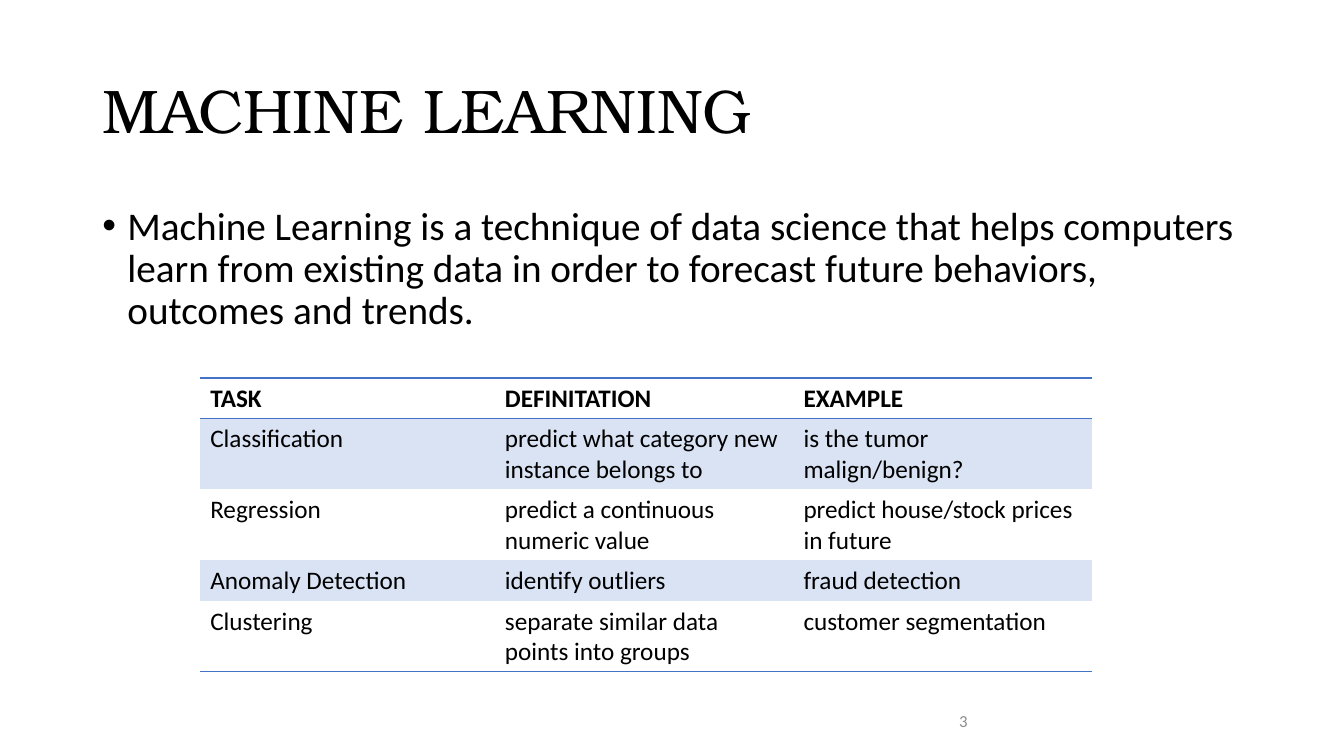
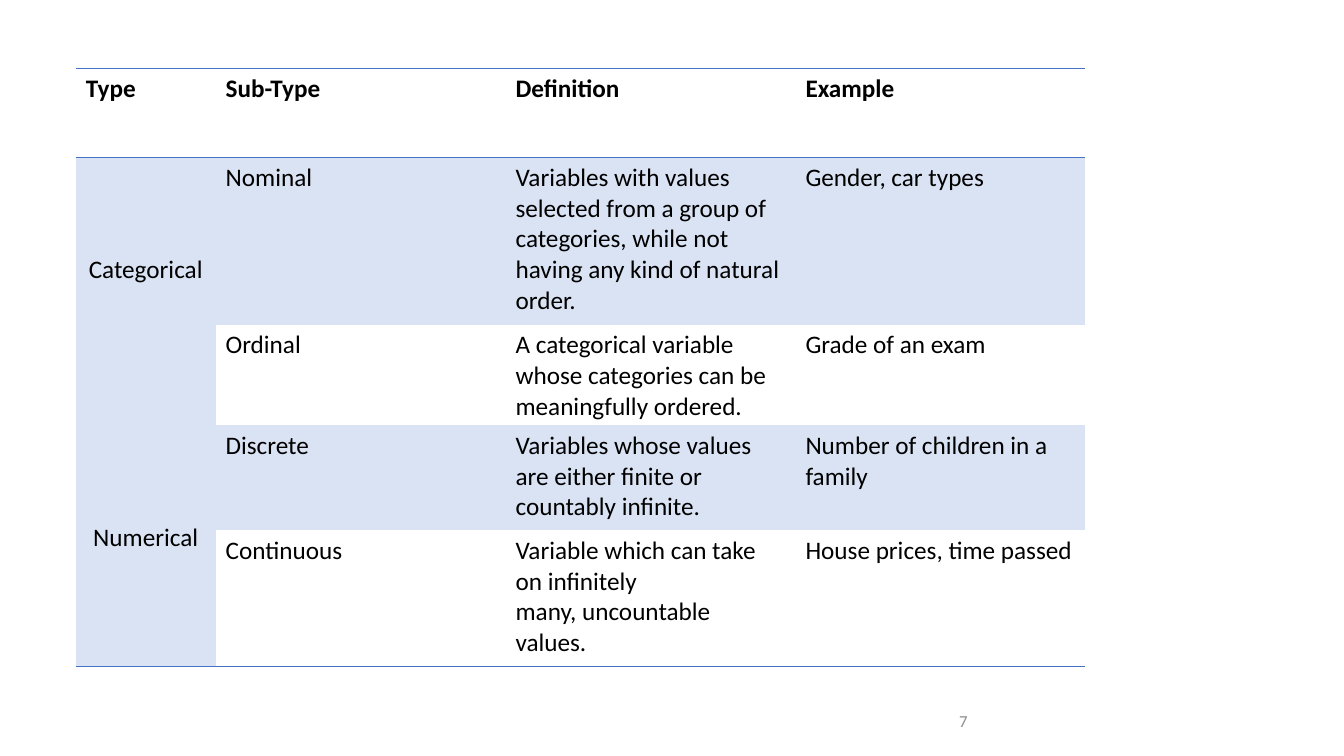
"""Build two slides about machine learning tasks and variable types."""
from dataclasses import dataclass
from typing import Any, Optional

from lxml import etree
from pptx import Presentation
from pptx import util as u
from pptx.dml import color
from pptx.enum import text
from pptx.oxml import ns
from pptx.slide import Slide

COLORS = {"ink": "000000", "rule": "4472C4", "band": "DAE3F3", "page": "8C8C8C"}
NO_STYLE = "{2D5ABB26-0587-4C30-8999-92F81FD0307C}"
FORMATS = {
    "title": {"size": u.Pt(44), "name": "TeX Gyre Bonum", "bold": False},
    "body": {"size": u.Pt(28), "name": "Calibri"},
    "header": {"size": u.Pt(18), "name": "Calibri", "bold": True},
    "cell": {"size": u.Pt(18), "name": "Calibri", "bold": False},
    "page": {"size": u.Pt(12), "name": "Calibri"},
}
GROUP_MARGIN = u.Pt(69.5)


@dataclass(frozen=True)
class Box:
    left: float
    top: float
    width: float
    height: float

    def lengths(self) -> list[int]:
        return [u.Pt(value) for value in (self.left, self.top, self.width, self.height)]


@dataclass(frozen=True)
class Grid:
    left: float
    top: float
    columns: list[float]
    heights: list[float]
    rows: list[list[Optional[str]]]


TITLE_BOX = Box(66, 28.75, 828, 104.38)
BODY_BOX = Box(66, 143.75, 828, 342.63)
PAGE_BOX = Box(678, 500.5, 216, 28.75)

TASKS = Grid(143, 270, [210.5, 213.3, 213.3], [29.2] * 5, [
    ["TASK", "DEFINITATION", "EXAMPLE"],
    ["Classification", "predict what category new instance belongs to", "is the tumor malign/benign?"],
    ["Regression", "predict a continuous numeric value", "predict house/stock prices in future"],
    ["Anomaly Detection", "identify outliers", "fraud detection"],
    ["Clustering", "separate similar data points into groups", "customer segmentation"],
])
VARIABLES = Grid(54.2, 48.8, [99.8] + [207.1] * 3, [63.5, 119.5, 67.5, 75, 97.3], [
    ["Type", "Sub-Type", "Definition", "Example"],
    ["Categorical", "Nominal",
     "Variables with values selected from a group of categories, "
     "while not having any kind of natural order.", "Gender, car types"],
    [None, "Ordinal", "A categorical variable whose categories can be meaningfully ordered.",
     "Grade of an exam"],
    ["Numerical", "Discrete", "Variables whose values are either finite or countably infinite.",
     "Number of children in a family"],
    [None, "Continuous", "Variable which can take on infinitely many,\u00a0uncountable values.",
     "House prices, time passed"],
])


def write(frame: Any, words: str, style: str, ink: str = "ink") -> Any:
    """Write one formatted paragraph and return it."""
    frame.word_wrap = True
    paragraph = frame.paragraphs[0]
    run = paragraph.add_run()
    run.text = words
    for name, value in FORMATS[style].items():
        setattr(run.font, name, value)
    run.font.color.rgb = color.RGBColor.from_string(COLORS[ink])
    return paragraph


def add_title(slide: Slide, words: str) -> None:
    """Place and format the title placeholder."""
    title = slide.shapes.title
    title.left, title.top, title.width, title.height = TITLE_BOX.lengths()
    frame = title.text_frame
    frame.auto_size = text.MSO_AUTO_SIZE.NONE
    frame.vertical_anchor = text.MSO_ANCHOR.MIDDLE
    paragraph = write(frame, words, "title")
    paragraph.alignment = text.PP_ALIGN.LEFT
    paragraph.line_spacing = 0.9


def add_bullet(slide: Slide, words: str) -> None:
    """Add the body text as one bulleted paragraph."""
    shape = slide.shapes.add_textbox(*BODY_BOX.lengths())
    paragraph = write(shape.text_frame, words, "body")
    paragraph.line_spacing = 0.9
    paragraph.space_before = u.Pt(10)
    properties = paragraph._p.get_or_add_pPr()
    properties.set("marL", str(u.Pt(18)))
    properties.set("indent", str(-u.Pt(18)))
    etree.SubElement(properties, ns.qn("a:buFont"), typeface="Arial")
    etree.SubElement(properties, ns.qn("a:buChar"), char="\u2022")


def add_page_number(slide: Slide, number: int) -> None:
    """Add the page number at the foot of the slide."""
    shape = slide.shapes.add_textbox(*PAGE_BOX.lengths())
    shape.text_frame.vertical_anchor = text.MSO_ANCHOR.MIDDLE
    write(shape.text_frame, str(number), "page", "page")


def add_rule(cell: Any, side: str) -> None:
    """Draw a thin rule on one side of a cell."""
    properties = cell._tc.get_or_add_tcPr()
    line = etree.SubElement(properties, ns.qn(f"a:{side}"), w=str(u.Pt(1)))
    fill = etree.SubElement(line, ns.qn("a:solidFill"))
    etree.SubElement(fill, ns.qn("a:srgbClr"), val=COLORS["rule"])


def add_grid(slide: Slide, grid: Grid) -> None:
    """Add a banded table in which None continues the cell above."""
    box = Box(grid.left, grid.top, sum(grid.columns), sum(grid.heights))
    table = slide.shapes.add_table(len(grid.rows), len(grid.columns), *box.lengths()).table
    table._tbl.tblPr.find(ns.qn("a:tableStyleId")).text = NO_STYLE
    for column, width in zip(table.columns, grid.columns):
        column.width = u.Pt(width)
    for row, height in zip(table.rows, grid.heights):
        row.height = u.Pt(height)
    last = len(grid.rows) - 1
    for row, entries in enumerate(grid.rows):
        for column, words in enumerate(entries):
            cell = table.cell(row, column)
            grouped = row < last and grid.rows[row + 1][column] is None
            if row == 0:
                add_rule(cell, "lnT")
            if row in (0, last) or (grouped and row + 1 == last):
                add_rule(cell, "lnB")
            if row % 2:
                cell.fill.solid()
                cell.fill.fore_color.rgb = color.RGBColor.from_string(COLORS["band"])
            else:
                cell.fill.background()
            if words is None:
                continue
            paragraph = write(cell.text_frame, words, "cell" if row else "header")
            if grouped:
                cell.merge(table.cell(row + 1, column))
                cell.margin_top = GROUP_MARGIN
                paragraph.alignment = text.PP_ALIGN.CENTER


def main() -> None:
    """Build and save the presentation."""
    presentation = Presentation()
    presentation.slide_width, presentation.slide_height = u.Pt(960), u.Pt(540)
    layouts = presentation.slide_layouts

    tasks = presentation.slides.add_slide(layouts.get_by_name("Title Only"))
    add_title(tasks, "MACHINE LEARNING")
    add_bullet(tasks, "Machine Learning is a technique of data science that helps computers learn "
                      "from existing data in order to forecast future behaviors, outcomes and trends.")
    add_grid(tasks, TASKS)
    add_page_number(tasks, 3)

    variables = presentation.slides.add_slide(layouts.get_by_name("Blank"))
    add_grid(variables, VARIABLES)
    add_page_number(variables, 7)

    presentation.save("out.pptx")


main()
